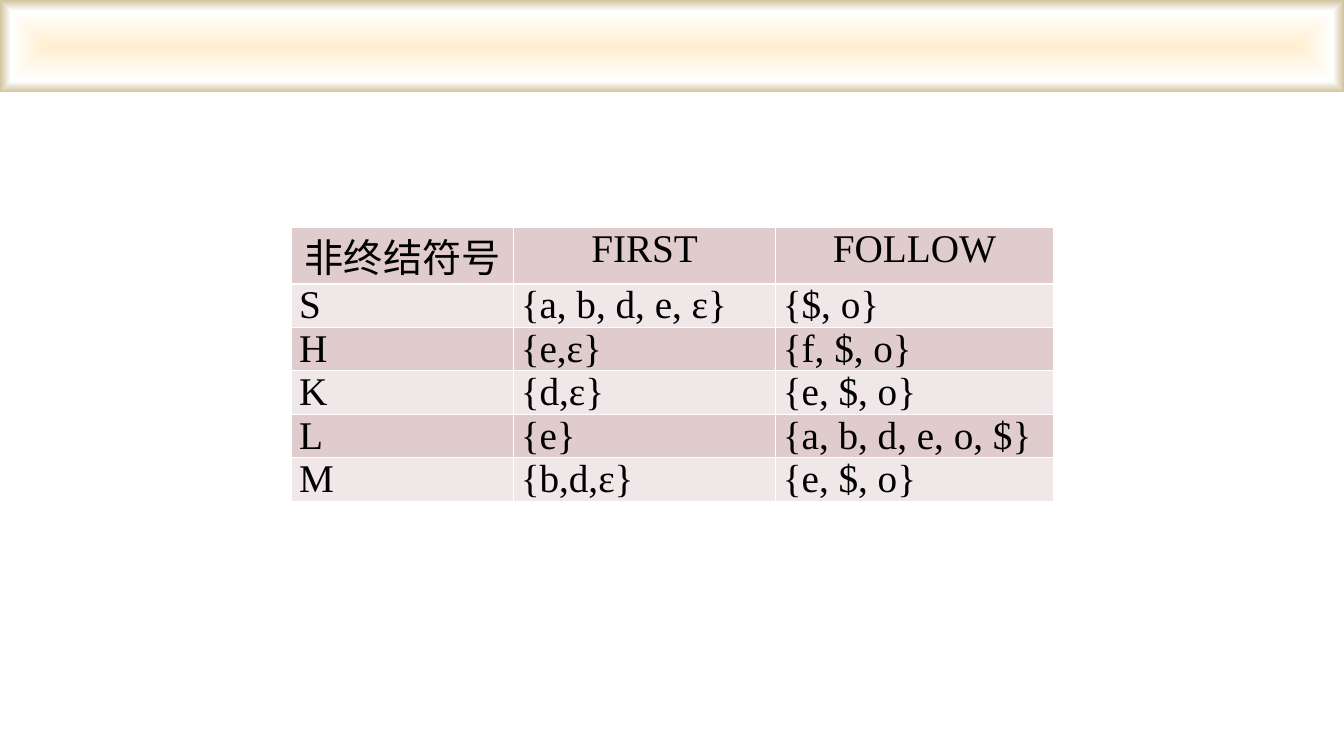
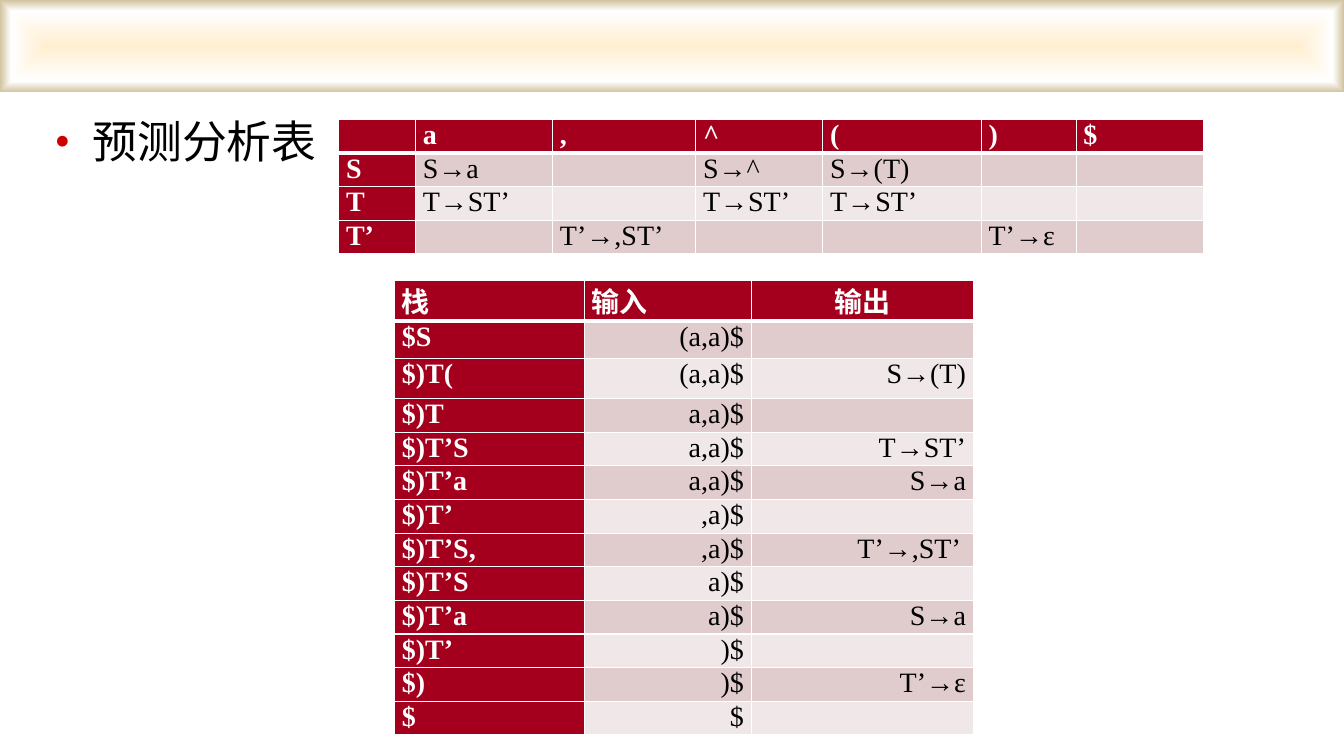
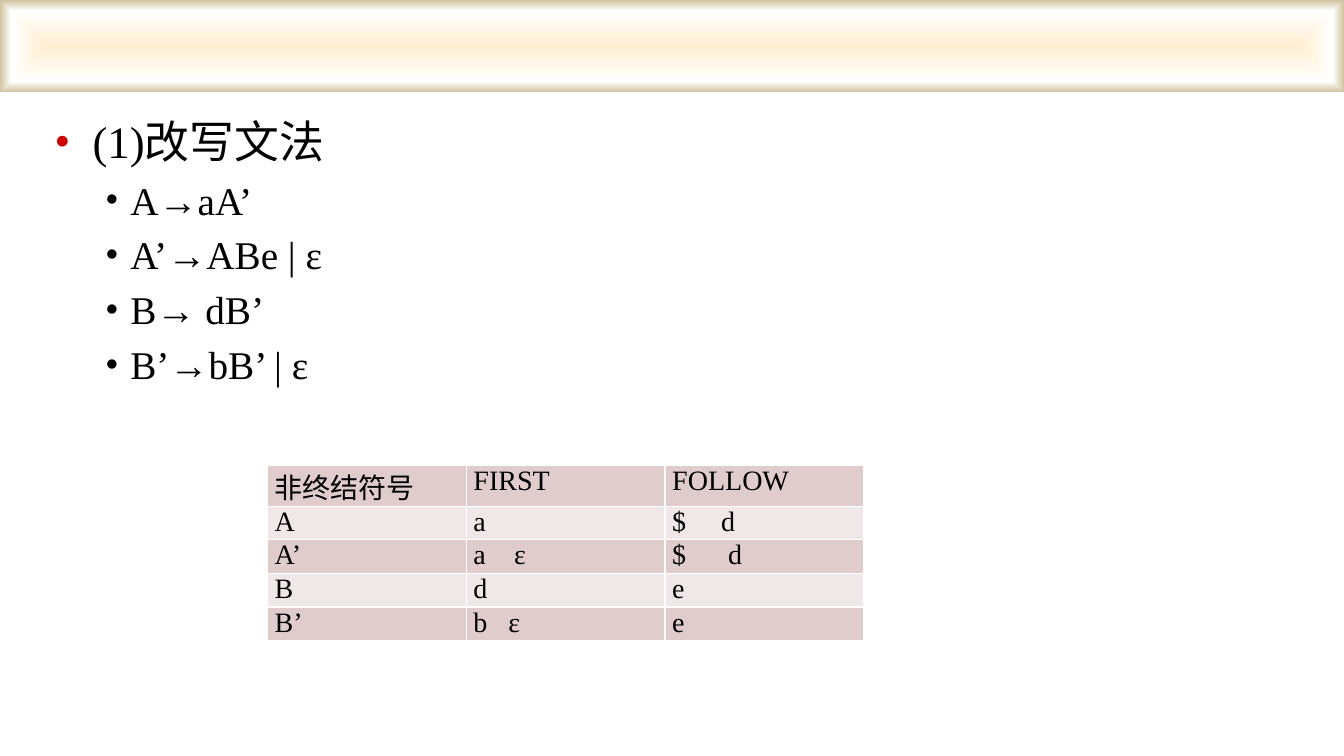
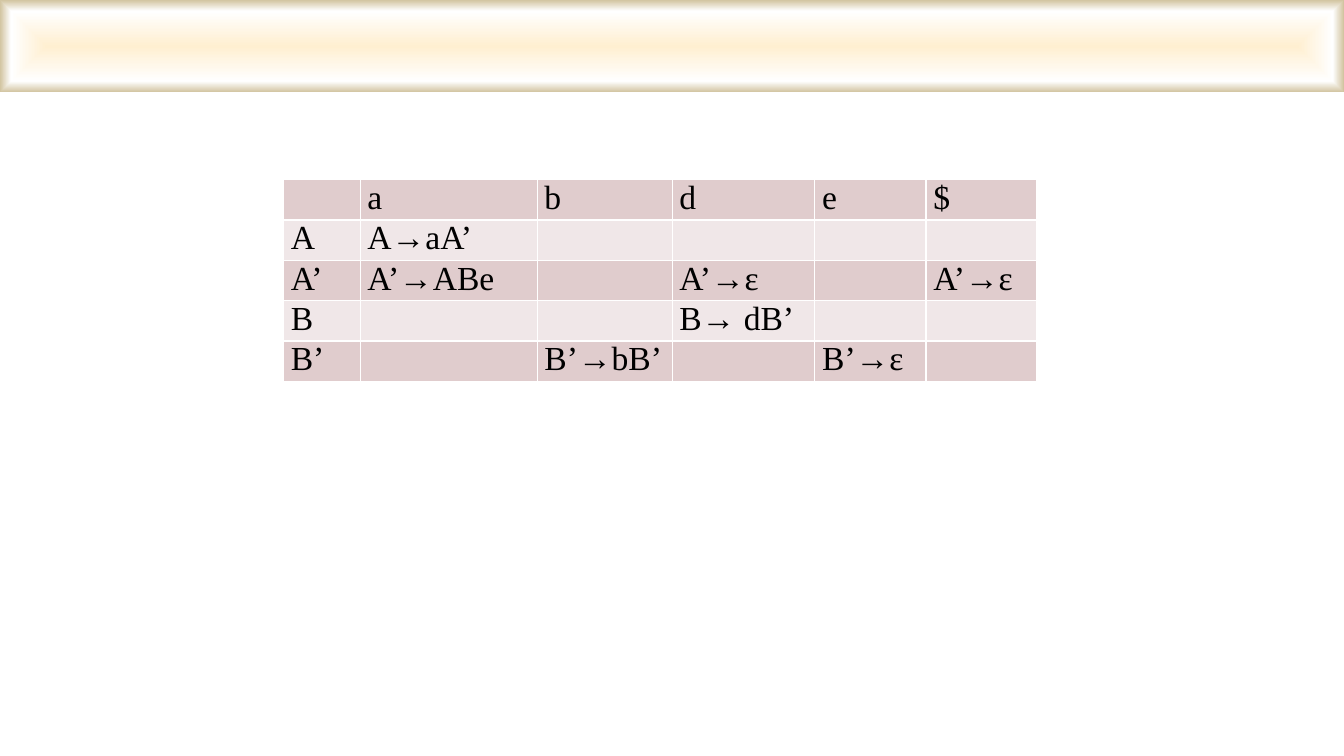
from dataclasses import dataclass, field

from pptx import Presentation
from pptx.dml.color import RGBColor
from pptx.enum.shapes import MSO_SHAPE
from pptx.enum.text import PP_ALIGN
from pptx.oxml import parse_xml
from pptx.oxml.ns import nsdecls
from pptx.slide import Slide
from pptx.table import _Cell as Cell
from pptx.text.text import _Paragraph as Paragraph
from pptx.util import Pt

BLACK = RGBColor(0x00, 0x00, 0x00)
WHITE = RGBColor(0xFF, 0xFF, 0xFF)
RED = RGBColor(0xA4, 0x00, 0x1D)
BULLET_RED = RGBColor(0xCC, 0x00, 0x00)
BAND_DARK = RGBColor(0xE0, 0xCC, 0xCD)
BAND_LIGHT = RGBColor(0xF0, 0xE7, 0xE8)
CREAM = RGBColor(0xFF, 0xEF, 0xD1)
TAN = RGBColor(0xD1, 0xC3, 0x9F)

SLIDE_WIDTH, SLIDE_HEIGHT = 960, 540
BAND_HEIGHT = 66
SERIF = "Times New Roman"
CHINESE = "Noto Sans CJK JP"
LINE_HEIGHT = 1.2
FIT_TEXT = 0
JUSTIFY, CENTER, RIGHT = PP_ALIGN.JUSTIFY, PP_ALIGN.CENTER, PP_ALIGN.RIGHT


@dataclass(frozen=True)
class BulletLevel:
    size: float
    margin: float
    indent: float
    color: RGBColor


@dataclass(frozen=True)
class Bullet:
    text: str
    level: int = 0
    font: str = SERIF


@dataclass(frozen=True)
class Grid:
    """A table; accented ones have a red header row and first column.

    Rows without an entry in row_heights are as tall as their text.
    """
    left: float
    top: float
    size: float
    widths: tuple[float, ...]
    rows: tuple[tuple[str, ...], ...]
    accented: bool = False
    header_alignments: tuple[PP_ALIGN, ...] = ()
    alignments: tuple[PP_ALIGN, ...] = ()
    row_heights: dict[int, float] = field(default_factory=dict)
    tab_stops: dict[tuple[int, int], float] = field(default_factory=dict)


@dataclass(frozen=True)
class Page:
    grids: tuple[Grid, ...]
    bullets: tuple[Bullet, ...] = ()


LEVELS = (
    BulletLevel(32, 27, -27, BULLET_RED),
    BulletLevel(28, 54, -18, BLACK),
)

PAGES = (
    Page((
        Grid(208.4, 162.4, 28, (158.4, 187.2, 198.4), (
            ("非终结符号", "FIRST", "FOLLOW"),
            ("S", "{a, b, d, e, ε}", "{$, o}"),
            ("H", "{e,ε}", "{f, $, o}"),
            ("K", "{d,ε}", "{e, $, o}"),
            ("L", "{e}", "{a, b, d, e, o, $}"),
            ("M", "{b,d,ε}", "{e, $, o}"),
        ), header_alignments=(CENTER,) * 3, row_heights={0: 40}),
    )),
    Page((
        Grid(242, 85.3, 20, (54.8, 98, 102.2, 90.8, 113.2, 67.8, 90.8), (
            ("", "a", ",", "^", "(", ")", "$"),
            ("S", "S→a", "", "S→^", "S→(T)", "", ""),
            ("T", "T→ST’", "", "T→ST’", "T→ST’", "", ""),
            ("T’", "", "T’→,ST’", "", "", "T’→ε", ""),
        ), accented=True),
        Grid(281.8, 200.3, 20, (135.8, 119, 158.6), (
            ("栈", "输入", "输出"),
            ("$S", "(a,a)$", ""),
            ("$)T(", "(a,a)$", "S→(T)"),
            ("$)T", "a,a)$", ""),
            ("$)T’S", "a,a)$", "T→ST’"),
            ("$)T’a", "a,a)$", "S→a"),
            ("$)T’", ",a)$", ""),
            ("$)T’S,", ",a)$", "T’→,ST’ "),
            ("$)T’S", "a)$", ""),
            ("$)T’a", "a)$", "S→a"),
            ("$)T’", ")$", ""),
            ("$)", ")$", "T’→ε"),
            ("$", "$", ""),
        ), accented=True,
            header_alignments=(JUSTIFY, JUSTIFY, CENTER),
            alignments=(JUSTIFY, RIGHT, RIGHT),
            row_heights={0: 29, 1: 27, 2: 28.4}),
    ), (Bullet("预测分析表", font=CHINESE),)),
    Page((
        Grid(191, 332.5, 20, (142,) * 3, (
            ("非终结符号", "FIRST", "FOLLOW"),
            ("A", "a", "$\td"),
            ("A’", "a\tε", "$\td"),
            ("B", "d", "e"),
            ("B’", "b\tε", "e"),
        ), row_heights={0: 29},
            tab_stops={(1, 2): 35, (2, 1): 29, (2, 2): 40, (4, 1): 25}),
    ), (
        Bullet("(1)改写文法"),
        Bullet("A→aA’", 1),
        Bullet("A’→ABe | ε", 1),
        Bullet("B→ dB’", 1),
        Bullet("B’→bB’ | ε", 1),
    )),
    Page((
        Grid(202.5, 128.3, 24, (54.8, 126.4, 96.4, 102, 79.4, 79), (
            ("", "a", "b", "d", "e", "$"),
            ("A", "A→aA’", "", "", "", ""),
            ("A’", "A’→ABe", "", "A’→ε", "", "A’→ε"),
            ("B", "", "", "B→ dB’", "", ""),
            ("B’", "", "B’→bB’", "", "B’→ε", ""),
        )),
    )),
)


def add_run(paragraph: Paragraph, text: str, size: float, color: RGBColor,
            bold: bool = False, font: str = SERIF) -> None:
    run = paragraph.add_run()
    run.text = text
    run.font.name = font
    run.font.size = Pt(size)
    run.font.bold = bold
    run.font.color.rgb = color
    latin = run.font._element.find("{*}latin")
    latin.addnext(parse_xml(f'<a:ea {nsdecls("a")} typeface="{CHINESE}"/>'))


def add_master_band(presentation: Presentation, slide: Slide) -> None:
    """Draw the top band and move it to the master, behind everything."""
    band = slide.shapes.add_shape(MSO_SHAPE.RECTANGLE, 0, 0, Pt(SLIDE_WIDTH), Pt(BAND_HEIGHT))
    band.shadow.inherit = False
    band.line.fill.background()
    band.fill.background()
    stops = "".join(
        f'<a:gs pos="{percent * 1000}"><a:srgbClr val="{color}"/></a:gs>'
        for percent, color in ((0, CREAM), (76, WHITE), (100, TAN)))
    gradient = parse_xml(
        f'<a:gradFill {nsdecls("a")} rotWithShape="1"><a:gsLst>{stops}</a:gsLst>'
        '<a:path path="shape"><a:fillToRect l="50000" t="50000" r="50000" b="50000"/>'
        '</a:path></a:gradFill>')
    properties = band.element.spPr
    properties.replace(properties.find("{*}noFill"), gradient)
    band.element.nvSpPr.cNvPr.set("id", "100")
    presentation.slide_master.shapes.element.insert(2, band.element)


def add_bullets(slide: Slide, bullets: tuple[Bullet, ...]) -> None:
    frame = slide.shapes.add_textbox(Pt(32), Pt(78), Pt(896), Pt(392)).text_frame
    frame.word_wrap = True
    for index, bullet in enumerate(bullets):
        paragraph = frame.add_paragraph() if index else frame.paragraphs[0]
        level = LEVELS[bullet.level]
        paragraph.level = bullet.level
        paragraph.alignment = JUSTIFY
        properties = paragraph._p.get_or_add_pPr()
        properties.set("marL", str(Pt(level.margin)))
        properties.set("indent", str(Pt(level.indent)))
        for xml in (
            f'<a:spcBef {nsdecls("a")}><a:spcPct val="20000"/></a:spcBef>',
            f'<a:buClr {nsdecls("a")}><a:srgbClr val="{level.color}"/></a:buClr>',
            f'<a:buFont {nsdecls("a")} typeface="{SERIF}"/>',
            f'<a:buChar {nsdecls("a")} char="•"/>',
        ):
            properties.append(parse_xml(xml))
        add_run(paragraph, bullet.text, level.size, BLACK, font=bullet.font)


def set_borders(cell: Cell, top: float, bottom: float) -> None:
    properties = cell._tc.get_or_add_tcPr()
    sides = (("L", 1), ("R", 1), ("T", top), ("B", bottom))
    for position, (side, width) in enumerate(sides):
        properties.insert(position, parse_xml(
            f'<a:ln{side} {nsdecls("a")} w="{Pt(width)}"><a:solidFill>'
            f'<a:srgbClr val="{WHITE}"/></a:solidFill></a:ln{side}>'))


def fill_cell(cell: Cell, grid: Grid, row: int, column: int) -> None:
    accented = grid.accented and (row == 0 or column == 0)
    cell.margin_left = cell.margin_right = Pt(5.2)
    cell.margin_top = cell.margin_bottom = 0
    cell.fill.solid()
    cell.fill.fore_color.rgb = RED if accented else (BAND_LIGHT if row % 2 != grid.accented
                                                     else BAND_DARK)
    set_borders(cell,
                top=3 if grid.accented and row == 1 else 1,
                bottom=3 if grid.accented and row == 0 else 1)
    text = grid.rows[row][column]
    if not text:
        return
    paragraph = cell.text_frame.paragraphs[0]
    alignments = grid.alignments if row else grid.header_alignments
    paragraph.alignment = alignments[column] if alignments else JUSTIFY
    if (row, column) in grid.tab_stops:
        position = Pt(grid.tab_stops[row, column])
        paragraph._p.get_or_add_pPr().append(parse_xml(
            f'<a:tabLst {nsdecls("a")}><a:tab pos="{position}" algn="l"/></a:tabLst>'))
    add_run(paragraph, text, grid.size, WHITE if accented else BLACK, bold=accented)


def add_grid(slide: Slide, grid: Grid) -> None:
    row_count = len(grid.rows)
    total_height = sum(grid.row_heights.get(row, grid.size * LINE_HEIGHT)
                       for row in range(row_count))
    frame = slide.shapes.add_table(
        row_count, len(grid.widths), Pt(grid.left), Pt(grid.top),
        Pt(sum(grid.widths)), Pt(total_height))
    table = frame.table
    table.first_row = table.horz_banding = False
    for column, width in enumerate(grid.widths):
        table.columns[column].width = Pt(width)
    for row in range(row_count):
        table.rows[row].height = Pt(grid.row_heights.get(row, FIT_TEXT))
        for column in range(len(grid.widths)):
            fill_cell(table.cell(row, column), grid, row, column)
    frame.height = Pt(total_height)


def main() -> None:
    presentation = Presentation()
    presentation.slide_width = Pt(SLIDE_WIDTH)
    presentation.slide_height = Pt(SLIDE_HEIGHT)
    blank = presentation.slide_layouts[6]
    for index, page in enumerate(PAGES):
        slide = presentation.slides.add_slide(blank)
        if index == 0:
            add_master_band(presentation, slide)
        if page.bullets:
            add_bullets(slide, page.bullets)
        for grid in page.grids:
            add_grid(slide, grid)
    presentation.save("out.pptx")


if __name__ == "__main__":
    main()
